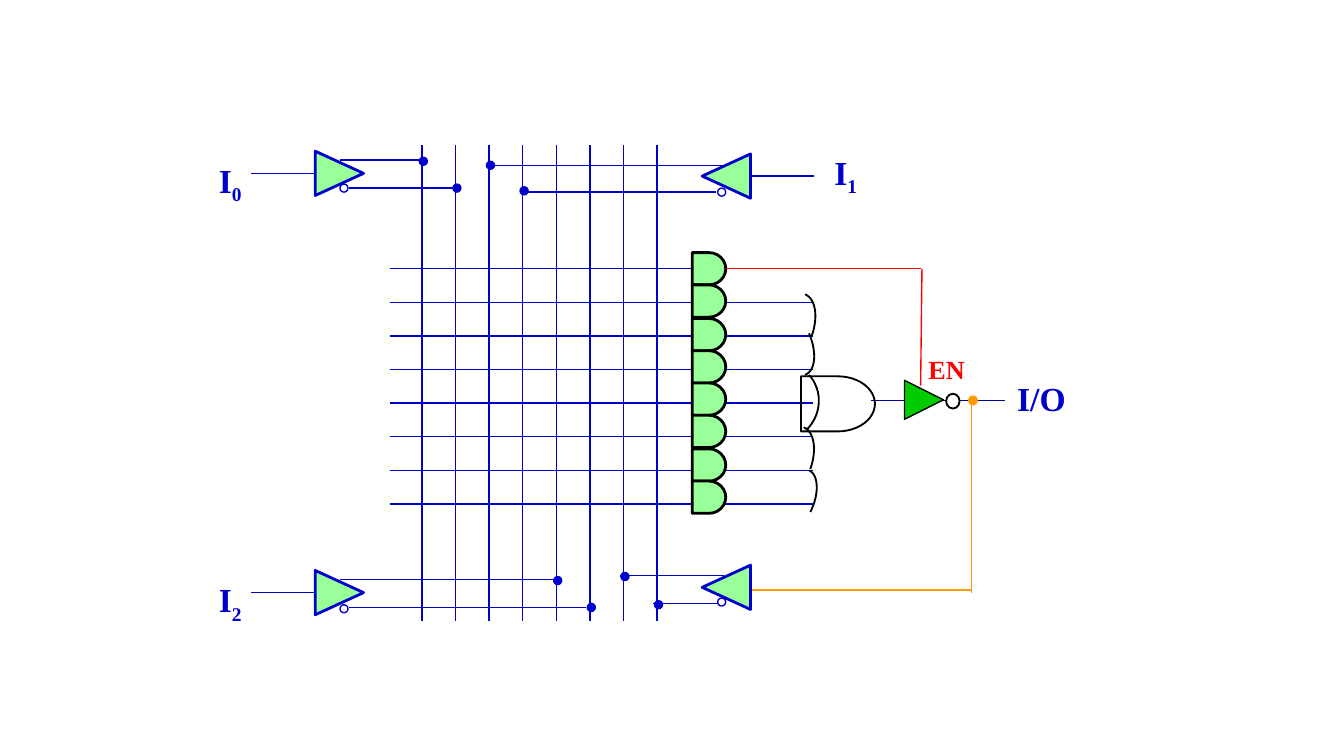
from dataclasses import dataclass

from lxml import etree
from pptx import Presentation, util as u
from pptx.dml.color import RGBColor
from pptx.enum import shapes, text
from pptx.oxml.ns import qn

PX = 9144  # EMU per layout px (100 px to the inch)
FONT = "Times New Roman"
COLORS = {
    "blue": "0000CC", "navy": "000099", "mint": "99FF99", "green": "00CC00",
    "red": "FF0000", "orange": "FF9900", "black": "000000", "white": "FFFFFF",
}
KIND = shapes.MSO_SHAPE


@dataclass
class Wire:
    x1: int
    y1: int
    x2: int
    y2: int
    color: str = "blue"
    width: float = 0.75


@dataclass
class Node:
    kind: int
    x: int
    y: int
    w: int
    h: int
    fill: str = ""
    line: str = "black"
    width: float = 0.75
    rot: int = 0


@dataclass
class Label:
    x: int
    y: int
    w: int
    h: int
    main: str
    sub: str = ""
    size: int = 18
    color: str = "blue"


def px(n: float) -> u.Emu:
    return u.Emu(round(n * PX))


def rgb(name: str) -> RGBColor:
    return RGBColor.from_string(COLORS[name])


def draw_wire(s, wire: Wire) -> None:
    c = s.shapes.add_connector(
        shapes.MSO_CONNECTOR.STRAIGHT,
        px(wire.x1), px(wire.y1), px(wire.x2), px(wire.y2))
    c.line.color.rgb = rgb(wire.color)
    c.line.width = u.Pt(wire.width)
    etree.SubElement(c._element.spPr, qn("a:effectLst"))


def style(sp, fill: str, line: str, width: float) -> None:
    sp.shadow.inherit = False
    if fill:
        sp.fill.solid()
        sp.fill.fore_color.rgb = rgb(fill)
    else:
        sp.fill.background()
    sp.line.color.rgb = rgb(line)
    sp.line.width = u.Pt(width)


def draw_node(s, n: Node) -> None:
    sp = s.shapes.add_shape(n.kind, px(n.x), px(n.y), px(n.w), px(n.h))
    sp.rotation = n.rot
    style(sp, n.fill, n.line, n.width)


def draw_arc(s, curve: tuple, steps: int = 16) -> None:
    """Draw an open cubic curve through its four control points."""
    points = []
    for i in range(steps + 1):
        t = i / steps
        weights = ((1 - t) ** 3, 3 * t * (1 - t) ** 2, 3 * t * t * (1 - t), t ** 3)
        points.append(tuple(
            px(sum(w * p[axis] for w, p in zip(weights, curve))) for axis in (0, 1)))
    builder = s.shapes.build_freeform(*points[0])
    builder.add_line_segments(points[1:], close=False)
    style(builder.convert_to_shape(), "", "black", 1)


def draw_label(s, label: Label) -> None:
    box = s.shapes.add_textbox(px(label.x), px(label.y), px(label.w), px(label.h))
    tf = box.text_frame
    tf.word_wrap = True
    tf.auto_size = text.MSO_AUTO_SIZE.SHAPE_TO_FIT_TEXT
    p = tf.paragraphs[0]
    for content, baseline in ((label.main, 0), (label.sub, -25000)):
        if not content:
            continue
        r = p.add_run()
        r.text = content
        r.font.name, r.font.size, r.font.bold = FONT, u.Pt(label.size), True
        r.font.color.rgb = rgb(label.color)
        if baseline:
            r._r.get_or_add_rPr().set("baseline", str(baseline))


def dot(x: int, y: int, fill: str = "", line: str = "blue", width: float = 0.75) -> Node:
    return Node(KIND.OVAL, x, y, 6, 6, fill, line, width)


def buffer(x: int, y: int, rot: int) -> Node:
    return Node(KIND.FLOWCHART_EXTRACT, x, y, 33, 36, "mint", "blue", 1.5, rot)


# Array lines: eight columns and eight product rows
COLUMNS = [Wire(314 + 25 * i, 108, 314 + 25 * i, 462) for i in range(8)]
ROWS = [Wire(290, 200 + 25 * i, 605 if i else 683, 200 + 25 * i) for i in range(8)]

# OR gate with its extended input edge
OUTPUT = Wire(648, 298, 748, 298, "navy", 1)
OR_BODY = Node(KIND.FLOWCHART_DELAY, 596, 280, 55, 41, width=1)
ARCS = [
    ((599, 219), (607, 222), (609, 236), (604, 250)),
    ((602, 248), (608, 262), (607, 276), (599, 279)),
    ((602, 279), (612, 290), (612, 308), (600, 320)),
    ((598, 318), (606, 321), (608, 335), (603, 349)),
    ((602, 350), (609, 353), (610, 367), (603, 381)),
]

# Input and feedback wires
LEFT_WIRES = [
    wire for dy, reach in ((0, 0), (312, 98)) for wire in (
        Wire(260, 140 + dy, 338 + reach, 140 + dy),
        Wire(253, 119 + dy, 316 + reach, 119 + dy),
        Wire(187, 129 + dy, 270, 129 + dy))
]
RIGHT_WIRES = [
    Wire(533, 143, 387, 143), Wire(540, 123, 363, 123), Wire(606, 131, 523, 131),
    Wire(534, 449, 486, 449), Wire(539, 428, 461, 428),
    Wire(723, 439, 558, 439, "orange"),
]

# Buffers with their inverting bubbles
BUFFERS = [
    buffer(236, 111, 90), dot(253, 137), buffer(236, 423, 90), dot(253, 450),
    buffer(524, 113, 270), dot(534, 140), buffer(524, 419, 270), dot(534, 445),
]

# One junction on each column, left to right
TAP_TOPS = (117, 137, 120, 139, 429, 449, 426, 447)
TAPS = [dot(312 + 25 * i, y, "blue") for i, y in enumerate(TAP_TOPS)]

# AND gates and the tri-state inverter
AND_GATES = [
    Node(KIND.FLOWCHART_DELAY, 515, 188 + round(i * 170 / 7), 25, 24, "mint", width=1.5)
    for i in range(8)
]
INVERTER = [
    Node(KIND.OVAL, 704, 293, 10, 11, "white", width=1),
    Node(KIND.ISOSCELES_TRIANGLE, 673, 283, 29, 29, "green", rot=90),
]
CONTROL_WIRES = [
    Wire(686, 200, 685, 287, "red"), Wire(540, 200, 685, 200, "red"),
    Wire(723, 300, 723, 441, "orange"),
]
FEEDBACK_TAP = dot(721, 295, "orange", "orange", 1)

LABELS = [
    Label(153, 114, 54, 40, "I", "0"),
    Label(611, 108, 54, 40, "I", "1"),
    Label(153, 426, 54, 40, "I", "2"),
    Label(747, 276, 60, 40, "I/O"),
    Label(681, 258, 58, 33, "EN", size=14, color="red"),
]


def main() -> None:
    prs = Presentation()
    prs.slide_width = px(1000)
    prs.slide_height = u.Emu(prs.slide_width * 9 // 16)
    s = prs.slides.add_slide(prs.slide_layouts[6])

    for wire in [*COLUMNS, OUTPUT, *LEFT_WIRES, *RIGHT_WIRES, *ROWS]:
        draw_wire(s, wire)
    for curve in ARCS:
        draw_arc(s, curve)
    for node in [OR_BODY, *BUFFERS, *TAPS, *AND_GATES, *INVERTER]:
        draw_node(s, node)
    for wire in CONTROL_WIRES:
        draw_wire(s, wire)
    draw_node(s, FEEDBACK_TAP)
    for label in LABELS:
        draw_label(s, label)

    prs.save("out.pptx")


if __name__ == "__main__":
    main()
